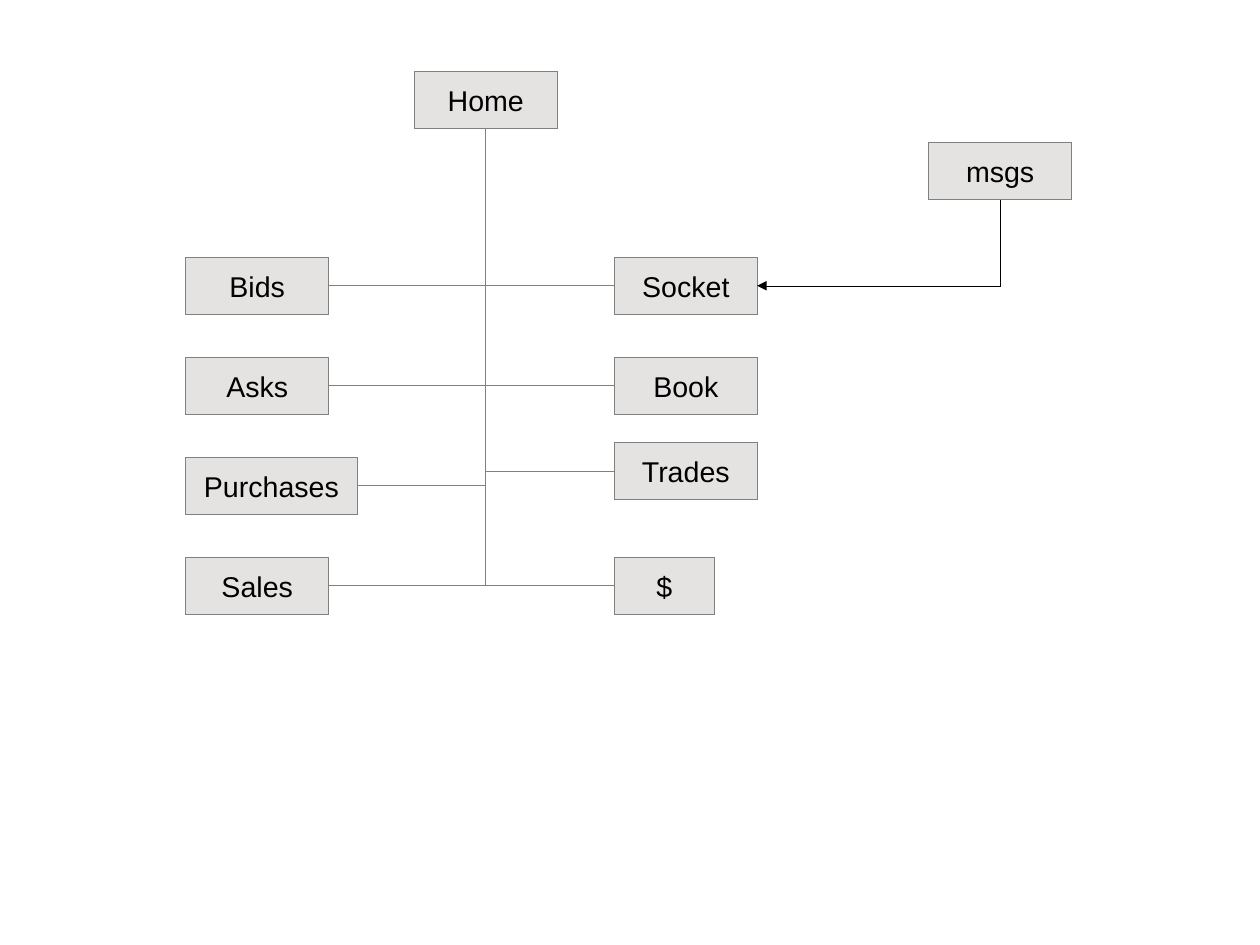
from lxml import etree
from pptx import Presentation
from pptx import util as u
from pptx.dml.color import RGBColor
from pptx.enum import shapes, text
from pptx.oxml import ns

COLORS = {"box": "E5E2E2", "outline": "808080", "text": "000000", "arrow": "000000"}
FONT = {"name": "Arial", "size": u.Pt(18)}
FRAME = {
    "margin_left": u.Pt(7.2), "margin_right": u.Pt(7.2),
    "margin_top": u.Pt(3.6), "margin_bottom": u.Pt(3.6),
    "vertical_anchor": text.MSO_ANCHOR.MIDDLE, "word_wrap": True,
}
BOX_HEIGHT = 36
LEFT_COLUMN, RIGHT_COLUMN = 117, 387
ROW_TOP, ROW_STEP = 162, 63
BOTTOM, LEFT_SITE, RIGHT_SITE = 2, 1, 3

# name: left, top, width
BOXES = {
    "Home": (261, 45, 90),
    "Socket": (RIGHT_COLUMN, ROW_TOP, 90),
    "Book": (RIGHT_COLUMN, ROW_TOP + ROW_STEP, 90),
    "Trades": (RIGHT_COLUMN, 279, 90),
    "$": (RIGHT_COLUMN, ROW_TOP + 3 * ROW_STEP, 63),
    "msgs": (585, 90, 90),
}
for row, (name, width) in enumerate(
        [("Bids", 90), ("Asks", 90), ("Purchases", 108), ("Sales", 90)]):
    BOXES[name] = (LEFT_COLUMN, ROW_TOP + row * ROW_STEP, width)

presentation = Presentation()
presentation.slide_width = u.Pt(793.7)
presentation.slide_height = u.Pt(595.28)
slide = presentation.slides.add_slide(presentation.slide_layouts[6])


def set_hairline(shape, color):
    """Give the outline its colour and an explicit zero width; returns the line element."""
    shape.line.color.rgb = RGBColor.from_string(COLORS[color])
    line = shape._element.spPr.find(ns.qn("a:ln"))
    line.set("w", "0")
    return line


def add_elbow(source, target, color):
    """Run down from the bottom of source, then sideways to the near edge of target."""
    source_left, source_top, source_width = BOXES[source]
    target_left, target_top, target_width = BOXES[target]
    start_x = source_left + source_width / 2
    start_y = source_top + BOX_HEIGHT
    rightward = target_left > start_x
    end_x = target_left if rightward else target_left + target_width
    end_y = target_top + BOX_HEIGHT / 2

    connector = slide.shapes.add_connector(
        shapes.MSO_CONNECTOR.ELBOW, u.Pt(start_x), u.Pt(start_y), u.Pt(end_x), u.Pt(end_y))
    connector.begin_connect(box_shapes[source], BOTTOM)
    connector.end_connect(box_shapes[target], LEFT_SITE if rightward else RIGHT_SITE)

    # A single-bend elbow starts sideways, so it is turned a quarter about its centre.
    length, depth = end_y - start_y, abs(end_x - start_x)
    connector.left = u.Pt((start_x + end_x - length) / 2)
    connector.top = u.Pt((start_y + end_y - depth) / 2)
    connector.width, connector.height = u.Pt(length), u.Pt(depth)
    properties = connector._element.spPr
    properties.find(ns.qn("a:prstGeom")).set("prst", "bentConnector2")
    transform = properties.find(ns.qn("a:xfrm"))
    transform.set("rot", str((270 if rightward else 90) * 60000))
    transform.set("flipH", "1" if rightward else "0")
    transform.set("flipV", "0")

    line = set_hairline(connector, color)
    etree.SubElement(properties, ns.qn("a:effectLst"))
    return line


box_shapes = {}
for name, (left, top, width) in BOXES.items():
    shape = slide.shapes.add_shape(
        shapes.MSO_SHAPE.RECTANGLE, u.Pt(left), u.Pt(top), u.Pt(width), u.Pt(BOX_HEIGHT))
    shape.fill.solid()
    shape.fill.fore_color.rgb = RGBColor.from_string(COLORS["box"])
    set_hairline(shape, "outline")
    shape.shadow.inherit = False
    for key, value in FRAME.items():
        setattr(shape.text_frame, key, value)
    paragraph = shape.text_frame.paragraphs[0]
    paragraph.alignment = text.PP_ALIGN.CENTER
    run = paragraph.add_run()
    run.text = name
    for key, value in FONT.items():
        setattr(run.font, key, value)
    run.font.color.rgb = RGBColor.from_string(COLORS["text"])
    box_shapes[name] = shape

message_line = add_elbow("msgs", "Socket", "arrow")
etree.SubElement(message_line, ns.qn("a:tailEnd"), type="triangle")
for name in BOXES:
    if name not in ("Home", "msgs"):
        add_elbow("Home", name, "outline")

presentation.save("out.pptx")
